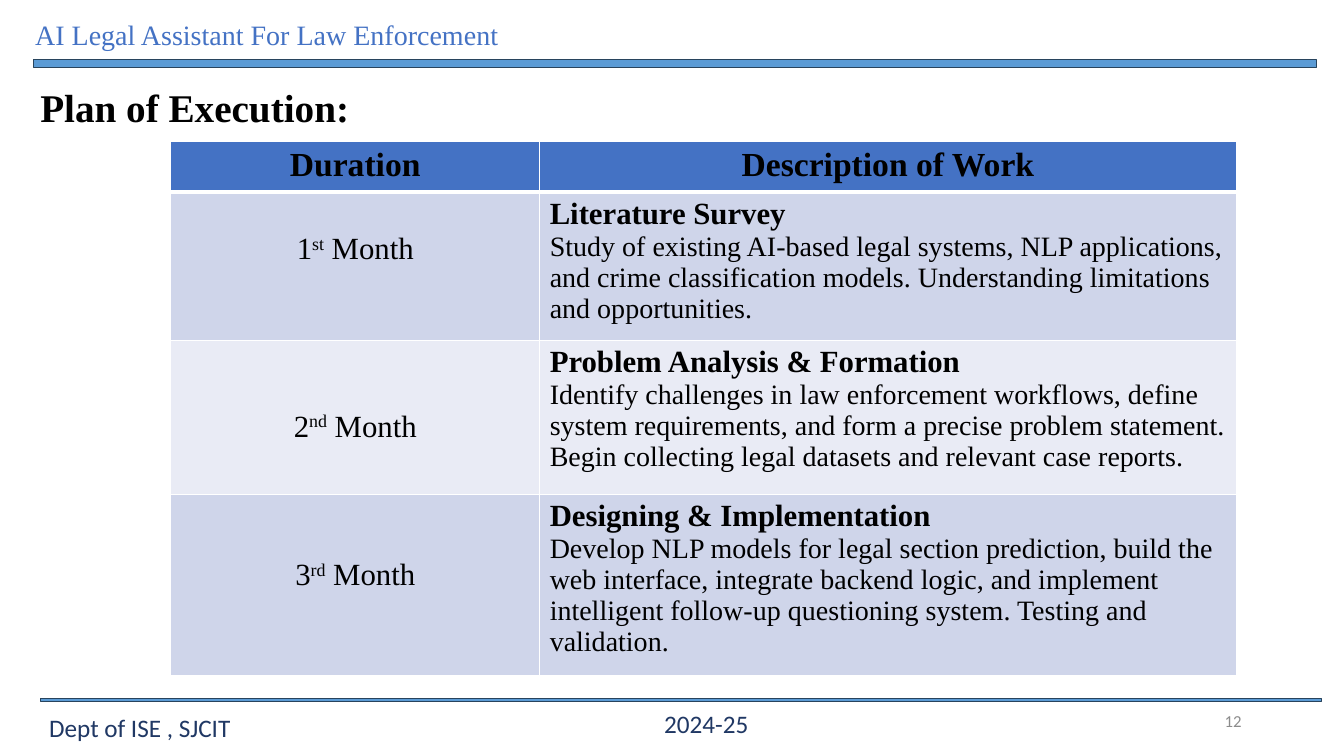
"""Build the execution plan slide with its three-month table."""
from dataclasses import dataclass
from lxml import etree
from pptx import Presentation
from pptx.dml.color import RGBColor
from pptx.enum import shapes, text
from pptx.oxml.ns import qn
from pptx.util import Pt


@dataclass(frozen=True)
class Theme:
    serif: str = "Times New Roman"
    sans: str = "Calibri"
    black: str = "000000"
    white: str = "FFFFFF"
    blue: str = "4472C4"
    navy: str = "203864"
    gray: str = "8C8C8C"
    bar: str = "5B9BD5"
    edge: str = "28445D"
    bands: tuple = ("CFD5EA", "E9EBF5")
    title: int = 28
    head: int = 24
    lead: int = 22
    body: int = 20
    foot: int = 18
    small: int = 12


theme = Theme()


def write(para, words, size, color=theme.black, face=theme.serif, bold=False):
    """Add one formatted run to a paragraph."""
    run = para.add_run()
    run.text = words
    font = run.font
    font.name, font.size, font.bold = face, Pt(size), bold
    font.color.rgb = RGBColor.from_string(color)
    return run


def dress(cell, fill, top, base):
    """Give a table cell its white borders and its fill."""
    props = cell._tc.get_or_add_tcPr()
    for side, width in (("L", 1), ("R", 1), ("T", top), ("B", base)):
        line = etree.SubElement(props, qn("a:ln" + side), w=str(Pt(width)))
        solid = etree.SubElement(line, qn("a:solidFill"))
        etree.SubElement(solid, qn("a:srgbClr"), val=theme.white)
    cell.fill.solid()
    cell.fill.fore_color.rgb = RGBColor.from_string(fill)


deck = Presentation()
deck.slide_width, deck.slide_height = Pt(960), Pt(540)
slide = deck.slides.add_slide(deck.slide_layouts[5])

for left, top, width, height in ((24, 42.7, 916.5, 5.4), (29, 499, 915, 2)):
    bar = slide.shapes.add_shape(shapes.MSO_SHAPE.RECTANGLE,
                                 Pt(left), Pt(top), Pt(width), Pt(height))
    bar.shadow.inherit = False
    bar.fill.solid()
    bar.fill.fore_color.rgb = RGBColor.from_string(theme.bar)
    bar.line.color.rgb = RGBColor.from_string(theme.edge)
    bar.line.width = Pt(1)

title = slide.shapes.title
title.left, title.top, title.width, title.height = Pt(21.6), Pt(39), Pt(248), Pt(52)
frame = title.text_frame
frame.vertical_anchor = text.MSO_ANCHOR.TOP
frame.auto_size = text.MSO_AUTO_SIZE.NONE
para = frame.paragraphs[0]
para.alignment = text.PP_ALIGN.LEFT
para.line_spacing = 1.5
write(para, "Plan of Execution:", theme.title, bold=True)

labels = (
    ("AI Legal Assistant For Law Enforcement", (18, 8.6, 363, 31.7),
     theme.body, theme.blue, theme.serif, text.PP_ALIGN.LEFT),
    ("Dept of ISE , SJCIT", (28, 505, 146, 29),
     theme.foot, theme.navy, theme.sans, text.PP_ALIGN.LEFT),
    ("2024-25", (452, 502, 105, 29),
     theme.foot, theme.navy, theme.sans, text.PP_ALIGN.CENTER),
    ("12", (678, 500.4, 216, 29),
     theme.small, theme.gray, theme.sans, text.PP_ALIGN.RIGHT),
)
for words, place, size, color, face, align in labels:
    frame = slide.shapes.add_textbox(*map(Pt, place)).text_frame
    frame.word_wrap = True
    frame.vertical_anchor = text.MSO_ANCHOR.MIDDLE
    para = frame.paragraphs[0]
    para.alignment = align
    write(para, words, size, color, face)

months = (
    ("1", "st", 29, 106, "Literature Survey",
     "Study of existing AI-based legal systems, NLP applications, and crime "
     "classification models. Understanding limitations and opportunities."),
    ("2", "nd", 49.6, 110, "Problem Analysis & Formation",
     "Identify challenges in law enforcement workflows, define system "
     "requirements, and form a precise problem statement. Begin collecting "
     "legal datasets and relevant case reports."),
    ("3", "rd", 46, 129.5, "Designing & Implementation",
     "Develop NLP models for legal section prediction, build the web "
     "interface, integrate backend logic, and implement intelligent "
     "follow-up questioning system. Testing and validation."),
)
grid = slide.shapes.add_table(len(months) + 1, 2, Pt(122), Pt(101),
                              Pt(761), Pt(381)).table
grid.columns[0].width, grid.columns[1].width = Pt(263.5), Pt(497.5)
grid.rows[0].height = Pt(35.5)

for cell, words in zip(grid.rows[0].cells, ("Duration", "Description of Work")):
    dress(cell, theme.blue, 1, 3)
    para = cell.text_frame.paragraphs[0]
    para.alignment = text.PP_ALIGN.CENTER
    write(para, words, theme.head, bold=True)

for row, (day, mark, drop, height, lead, work) in enumerate(months, 1):
    grid.rows[row].height = Pt(height)
    for cell in grid.rows[row].cells:
        dress(cell, theme.bands[(row - 1) % 2], 3 if row == 1 else 1, 1)
    when, what = grid.rows[row].cells
    when.margin_top = Pt(drop)
    para = when.text_frame.paragraphs[0]
    para.alignment = text.PP_ALIGN.CENTER
    write(para, day, theme.lead)
    write(para, mark, theme.lead)._r.get_or_add_rPr().set("baseline", "30000")
    write(para, " Month", theme.lead)
    para = what.text_frame.paragraphs[0]
    write(para, lead, theme.lead, bold=True)
    para.add_line_break()
    write(para, work, theme.body)

deck.save("out.pptx")
